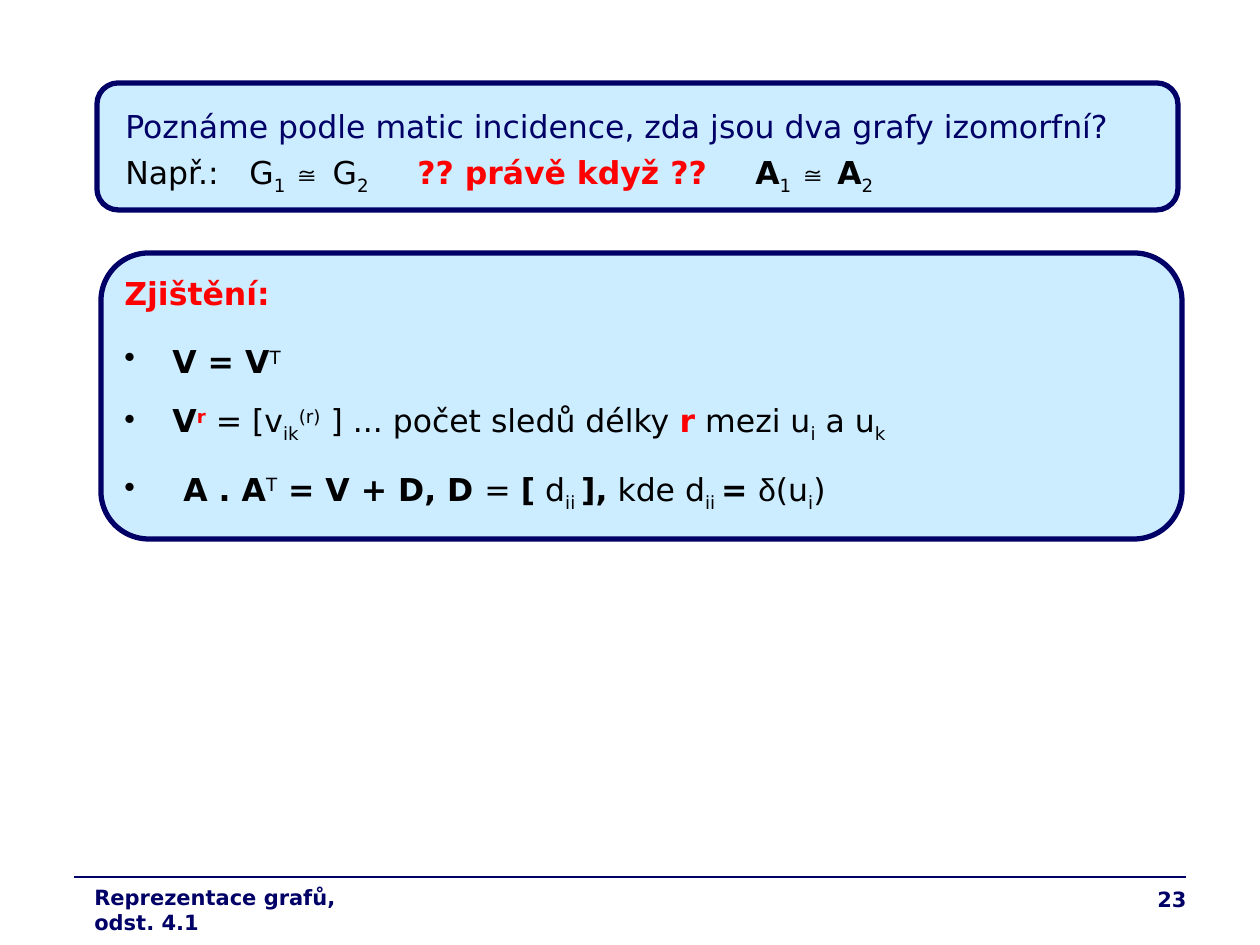
"""Build the slide about recognising isomorphic graphs from their matrices."""
from lxml import etree
from pptx import Presentation
from pptx import util as u
from pptx.dml.color import RGBColor
from pptx.enum import shapes, text
from pptx.oxml.ns import qn

NAVY, PALE, RED, BLACK = "000066", "CCECFF", "FF0000", "000000"
BASELINES = {"_": "-25000", "^": "30000"}


def color(value):
    return RGBColor.from_string(value)


def px(length):
    return u.Emu(round(length * 914400 / 126))


class SlideBuilder:
    def __init__(self, slide, font="DejaVu Sans", symbol_font="Arial"):
        self.slide = slide
        self.font = font
        self.symbol_font = symbol_font

    def rule(self, left, right, y):
        line = self.slide.shapes.add_connector(
            shapes.MSO_CONNECTOR.STRAIGHT, px(left), px(y), px(right), px(y))
        line.line.color.rgb = color(NAVY)
        line.line.width = u.Pt(0.75)
        etree.SubElement(line._element.spPr, qn("a:effectLst"))

    def panel(self, left, top, width, height):
        shape = self.slide.shapes.add_shape(
            shapes.MSO_SHAPE.ROUNDED_RECTANGLE,
            px(left), px(top), px(width), px(height))
        shape.adjustments[0] = 0.167
        shape.shadow.inherit = False
        shape.fill.solid()
        shape.fill.fore_color.rgb = color(PALE)
        shape.line.color.rgb = color(NAVY)
        shape.line.width = u.Pt(3)

    def text_box(self, left, top, width, height):
        frame = self.slide.shapes.add_textbox(
            px(left), px(top), px(width), px(height)).text_frame
        frame.word_wrap = True
        return frame

    def paragraph(self, frame, runs, size=18, ink=BLACK, bold=False, before=0,
                  after=0, spacing=1.0, bullet=False, tabs=(), align="LEFT"):
        """Add runs of (text, marks): b bold, r red, s symbol font, _ and ^ shifts."""
        first = frame.paragraphs[0]
        paragraph = frame.add_paragraph() if first.runs else first
        paragraph.alignment = getattr(text.PP_ALIGN, align)
        paragraph.line_spacing = spacing
        if before:
            paragraph.space_before = u.Pt(before)
        if after:
            paragraph.space_after = u.Pt(after)
        properties = paragraph._p.get_or_add_pPr()
        if bullet:
            properties.set("marL", str(px(48)))
            properties.set("indent", str(px(-48)))
            bullet_color = etree.SubElement(properties, qn("a:buClr"))
            etree.SubElement(bullet_color, qn("a:srgbClr"), val=BLACK)
            etree.SubElement(properties, qn("a:buChar"), char="•")
        if tabs:
            tab_list = etree.SubElement(properties, qn("a:tabLst"))
            for stop in tabs:
                etree.SubElement(tab_list, qn("a:tab"), pos=str(px(stop)), algn="l")
        paragraph.font.name = self.font
        paragraph.font.size = u.Pt(size)
        paragraph.font.color.rgb = color(ink)
        paragraph.font.bold = bold
        for words, marks in runs:
            self.run(paragraph, words, marks)

    def run(self, paragraph, words, marks):
        run = paragraph.add_run()
        run.text = words
        if "b" in marks:
            run.font.bold = True
        if "r" in marks:
            run.font.color.rgb = color(RED)
        if "s" in marks:
            run.font.name = self.symbol_font
        for mark, shift in BASELINES.items():
            if mark in marks:
                run._r.get_or_add_rPr().set("baseline", shift)


def main():
    presentation = Presentation()
    presentation.slide_width, presentation.slide_height = px(1260), px(945)
    builder = SlideBuilder(presentation.slides.add_slide(presentation.slide_layouts[6]))

    builder.rule(74, 1186, 877)

    builder.panel(97, 83, 1081, 127)
    question = builder.text_box(113, 101, 1060, 102)
    builder.paragraph(
        question, [("Poznáme podle matic incidence, zda jsou dva grafy izomorfní?", "")],
        ink=NAVY)
    builder.paragraph(
        question,
        [("Např.:\tG", ""), ("1 ", "_"), ("≅", "s"), (" G", ""), ("2", "_"),
         ("\t?? právě když ??\t", "br"), ("A", "b"), ("1 ", "_"), ("≅ ", "s"),
         ("A", "b"), ("2", "_")],
        before=4.5, after=4.5, tabs=(124, 292, 630))

    builder.panel(101, 253, 1081, 286)
    findings = builder.text_box(112, 275, 1066, 244)
    builder.paragraph(findings, [("Zjištění:", "")], ink=RED, bold=True, spacing=0.8)
    builder.paragraph(findings, [("V = V", "b"), ("T", "^")],
                      before=4.5, spacing=1.6, bullet=True)
    equations = [
        [("V", "b"), ("r", "br^"), (" = [v", ""), ("ik", "_"), ("(r)", "^"),
         (" ] ... počet sledů délky ", ""), ("r", "br"), (" mezi u", ""),
         ("i", "_"), (" a u", ""), ("k", "_")],
        [(" A . A", "b"), ("T", "^"), (" = V + D, D ", "b"), ("= ", ""),
         ("[", "b"), (" d", ""), ("ii ", "_"), ("],", "b"), (" kde d", ""),
         ("ii ", "_"), ("= ", "b"), ("δ", "s"), ("(u", ""), ("i", "_"), (")", "")],
    ]
    for equation in equations:
        builder.paragraph(findings, equation, after=2.2, spacing=1.5, bullet=True)

    footer = {"size": 12, "ink": NAVY, "bold": True}
    builder.paragraph(builder.text_box(82, 878, 329, 38),
                      [("Reprezentace grafů, odst. 4.1", "")], **footer)
    builder.paragraph(builder.text_box(937, 880, 262, 45),
                      [("23", "")], align="RIGHT", **footer)

    presentation.save("out.pptx")


if __name__ == "__main__":
    main()
